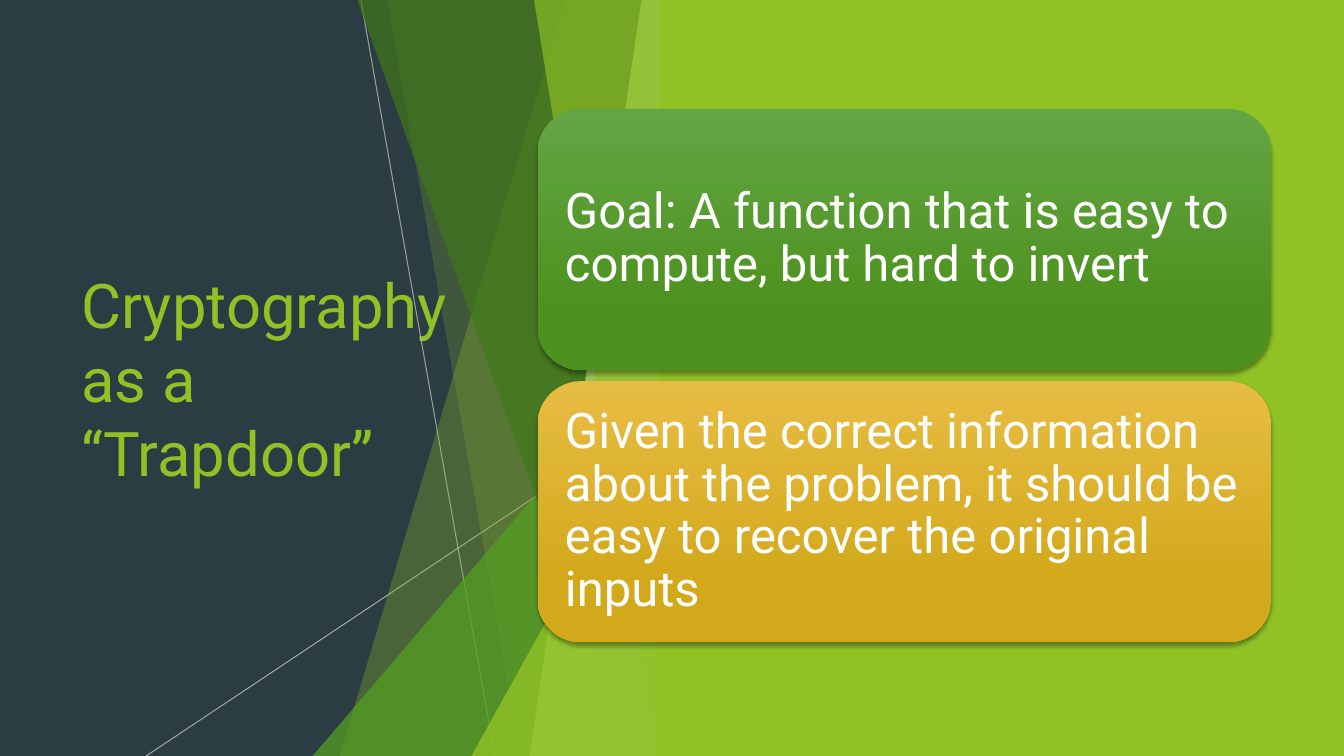
from pptx import Presentation
from pptx.dml.color import RGBColor
from pptx.enum.shapes import MSO_CONNECTOR, MSO_SHAPE
from pptx.enum.text import MSO_ANCHOR, PP_ALIGN
from pptx.oxml.ns import qn
from pptx.util import Pt
from lxml.etree import SubElement

WIDTH, HEIGHT = 960, 540
FACET_TOP, FACET_RIGHT = -0.5, 479.6
GREEN, LEAF, FOREST, LIME = "90C226", "54A021", "3F7819", "C0E474"
SLATE, SILVER, WHITE = "2C3C43", "BFBFBF", "FFFFFF"
BACK_FACETS = [(404, 242.6, GREEN, 30), (276.3, 371.8, GREEN, 20)]
FRONT_FACETS = [(255, 449.2, FOREST, 70), (458.3, 378.3, LIME, 70), (381.4, 468.9, GREEN, 65)]
CARDS = [
    ("Goal: A function that is easy to compute, but hard to invert", "63A545", "4D921E"),
    ("Given the correct information about the problem, it should be easy to recover "
     "the original inputs", "E7BC43", "D2A91B"),
]
CARD_MARGINS = {f"margin_{side}": Pt(10.5) for side in ("left", "right", "top", "bottom")}


def color(code):
    return RGBColor.from_string(code)


def apply_format(target, values):
    for name, value in values.items():
        setattr(target, name, value)


def set_opacity(element, percent):
    for node in element.iter(qn("a:srgbClr")):
        SubElement(node, qn("a:alpha"), val=str(percent * 1000))


def paint(shape, code, opacity=100):
    shape.shadow.inherit = False
    shape.line.fill.background()
    shape.fill.solid()
    shape.fill.fore_color.rgb = color(code)
    if opacity < 100:
        set_opacity(shape._element.spPr, opacity)


def add_ray(page, start, end, opacity):
    ray = page.shapes.add_connector(MSO_CONNECTOR.STRAIGHT, *map(Pt, start + end))
    ray.line.width = Pt(0.75)
    ray.line.color.rgb = color(SILVER)
    properties = ray._element.spPr
    set_opacity(properties, opacity)
    SubElement(properties, qn("a:effectLst"))


def add_facet(page, top_left, bottom_left, code, opacity):
    corners = [(FACET_RIGHT, FACET_TOP), (FACET_RIGHT, HEIGHT), (bottom_left, HEIGHT)]
    builder = page.shapes.build_freeform(Pt(top_left), Pt(FACET_TOP), scale=1.0)
    builder.add_line_segments([(Pt(x), Pt(y)) for x, y in corners], close=True)
    paint(builder.convert_to_shape(), code, opacity)


def add_triangle(page, left, top, code, opacity):
    box = (left, top, FACET_RIGHT - left, HEIGHT - top)
    triangle = page.shapes.add_shape(MSO_SHAPE.ISOSCELES_TRIANGLE, *map(Pt, box))
    triangle.adjustments[0] = 1
    paint(triangle, code, opacity)


def write_text(box, text, size, code, frame_format, spacing=1.0):
    frame = box.text_frame
    apply_format(frame, {"word_wrap": True, "vertical_anchor": MSO_ANCHOR.MIDDLE, **frame_format})
    para = frame.paragraphs[0]
    apply_format(para, {"alignment": PP_ALIGN.LEFT, "line_spacing": spacing})
    span = para.add_run()
    span.text = text
    apply_format(span.font, {"name": "Roboto", "size": Pt(size)})
    span.font.color.rgb = color(code)


def add_card(page, top, text, light, dark):
    box = (384, top, 524, 186.5)
    card = page.shapes.add_shape(MSO_SHAPE.ROUNDED_RECTANGLE, *map(Pt, box))
    card.line.fill.background()
    card.fill.gradient()
    card.fill.gradient_angle = 270
    for stop, code, position in zip(card.fill.gradient_stops, (light, dark), (0, 0.78)):
        stop.color.rgb = color(code)
        stop.position = position
    card.shadow.inherit = False
    effects = card._element.spPr.find(qn("a:effectLst"))
    shadow = SubElement(effects, qn("a:outerShdw"), blurRad=str(Pt(3)), dist=str(Pt(2)),
                        dir="5400000", algn="ctr", rotWithShape="0")
    SubElement(shadow, qn("a:srgbClr"), val="000000")
    set_opacity(shadow, 35)
    write_text(card, text, 35, WHITE, CARD_MARGINS, 0.9)


def main():
    deck = Presentation()
    apply_format(deck, {"slide_width": Pt(WIDTH), "slide_height": Pt(HEIGHT)})
    page = deck.slides.add_slide(deck.slide_layouts[6])
    page.background.fill.solid()
    page.background.fill.fore_color.rgb = color(SLATE)

    title = page.shapes.add_textbox(Pt(51.2), Pt(108.7), Pt(279.5), Pt(322.6))
    write_text(title, "Cryptography as a \u201cTrapdoor\u201d", 44, GREEN, {})

    add_ray(page, (257.8, 0), (353.5, HEIGHT), 75)
    add_ray(page, (FACET_RIGHT, 290), (104.4, HEIGHT), 80)
    for facet in BACK_FACETS:
        add_facet(page, *facet)
    add_triangle(page, 223.3, 240, LEAF, 72)
    for facet in FRONT_FACETS:
        add_facet(page, *facet)
    add_triangle(page, 336.7, 283, GREEN, 80)

    panel_left = 470.6
    panel = page.shapes.add_shape(MSO_SHAPE.RECTANGLE, Pt(panel_left), 0,
                                  Pt(WIDTH - panel_left), Pt(HEIGHT))
    paint(panel, GREEN)

    for index, card in enumerate(CARDS):
        add_card(page, 77.8 + index * 194.4, *card)
    deck.save("out.pptx")


main()
